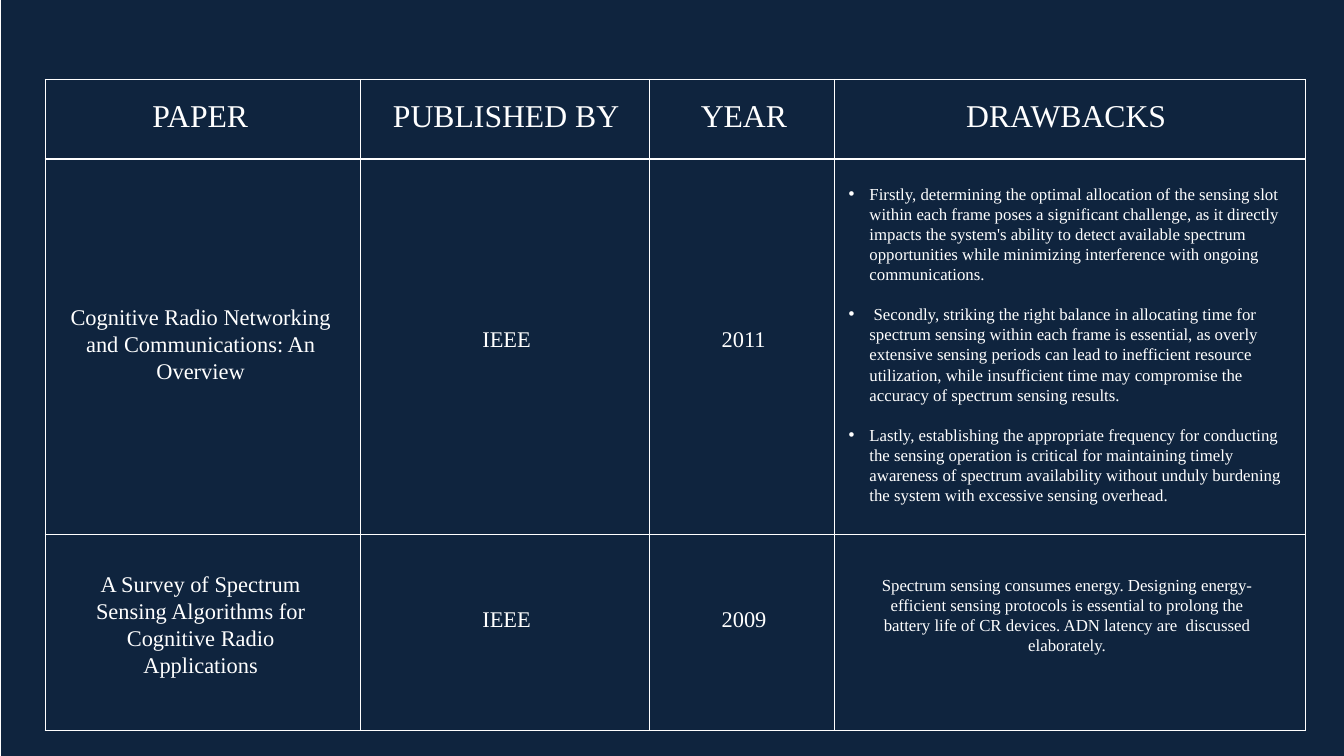
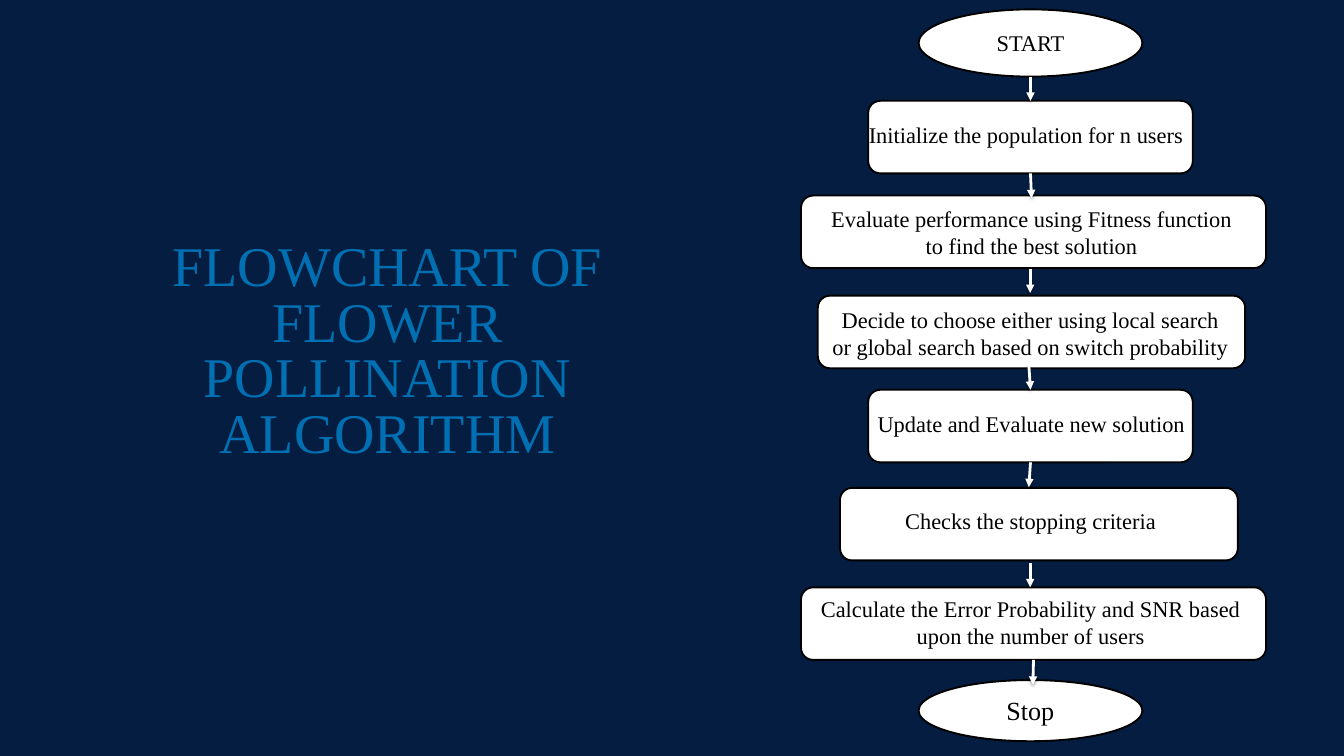
import pptx
import pptx.util
import pptx.dml.color
import pptx.enum.dml
import pptx.enum.shapes
import pptx.enum.text
import pptx.oxml
import pptx.oxml.ns
from lxml import etree

Inches = pptx.util.Inches
Pt = pptx.util.Pt
RGBColor = pptx.dml.color.RGBColor
Align = pptx.enum.text.PP_ALIGN
Shape = pptx.enum.shapes.MSO_SHAPE
qn = pptx.oxml.ns.qn

FONT = "Times New Roman"
WHITE = RGBColor(0xFF, 0xFF, 0xFF)
BLACK = RGBColor(0, 0, 0)
PANEL_NAVY = RGBColor(0x0F, 0x24, 0x3E)
PAGE_NAVY = RGBColor(0x05, 0x1D, 0x40)
TITLE_BLUE = RGBColor(0x00, 0x70, 0xB3)

PAGE_WIDTH, PAGE_HEIGHT = 20, 11.25

# Table geometry and contents
COLUMNS = [4.69, 4.31, 2.75, 7]
ROWS = [1.19, 5.58, 2.92]
# Per cell: offset within the cell, width, height, wrapped, text
CELLS = [
    [(1.5, 0.2, 1.64, 0.67, False, "PAPER"),
     (0.39, 0.2, 3.6, 0.67, False, "PUBLISHED BY"),
     (0.66, 0.2, 1.5, 0.67, False, "YEAR"),
     (1.86, 0.2, 3.21, 0.67, False, "DRAWBACKS")],
    [(0.19, 2.09, 4.25, 1.72, True, "Cognitive Radio Networking and Communications: An Overview"),
     (1.72, 2.42, 0.93, 0.5, False, "IEEE"),
     (0.97, 2.42, 0.88, 0.5, False, "2011"),
     (0.11, 0.31, 6.92, 4.95, True,
      "Firstly, determining the optimal allocation of the sensing slot within each frame "
      "poses a significant challenge, as it directly impacts the system's ability to detect "
      "available spectrum opportunities while minimizing interference with ongoing "
      "communications.\n"
      " Secondly, striking the right balance in allocating time for spectrum sensing within "
      "each frame is essential, as overly extensive sensing periods can lead to inefficient "
      "resource utilization, while insufficient time may compromise the accuracy of spectrum "
      "sensing results.\n"
      "Lastly, establishing the appropriate frequency for conducting the sensing operation is "
      "critical for maintaining timely awareness of spectrum availability without unduly "
      "burdening the system with excessive sensing overhead.")],
    [(0.48, 0.49, 3.67, 2.02, True,
      "A Survey of Spectrum Sensing Algorithms for Cognitive Radio Applications"),
     (1.72, 1, 0.93, 0.5, False, "IEEE"),
     (0.97, 1, 0.92, 0.5, False, "2009"),
     (0.58, 0.55, 5.76, 1.92, True,
      "Spectrum sensing consumes energy. Designing energy-efficient sensing protocols is "
      "essential to prolong the battery life of CR devices. ADN latency are  discussed "
      "elaborately.")],
]

# Flowchart nodes: preset shape, left, top, width, height
NODES = [
    (Shape.OVAL, 2.17, 0.14, 3.33, 1),
    (Shape.ROUNDED_RECTANGLE, 1.42, 1.5, 4.83, 1.08),
    (Shape.ROUNDED_RECTANGLE, 0.42, 2.91, 6.92, 1.08),
    (Shape.ROUNDED_RECTANGLE, 0.67, 4.4, 6.36, 1.08),
    (Shape.ROUNDED_RECTANGLE, 1.42, 5.8, 4.83, 1.08),
    (Shape.ROUNDED_RECTANGLE, 1, 7.26, 5.92, 1.08),
    (Shape.ROUNDED_RECTANGLE, 0.42, 8.74, 6.92, 1.08),
    (Shape.OVAL, 2.17, 10.12, 3.33, 0.91),
]
# Labels over the nodes: left, top, width, height, wrapped, alignment, size, text
LABELS = [
    (1.33, 1.76, 5.08, 0.5, True, Align.LEFT, 24, "Initialize the population for n users"),
    (0.67, 3, 6.36, 1.21, True, Align.CENTER, 24,
     "Evaluate performance using Fitness function to find the best solution"),
    (0.76, 4.51, 6.14, 1.21, True, Align.CENTER, 24,
     "Decide to choose either using local search or global search based on switch probability"),
    (1.46, 6.05, 4.81, 0.81, False, Align.LEFT, 24, "Update and Evaluate new solution"),
    (0.06, 7.49, 7.55, 0.5, True, Align.CENTER, 24, "Checks the stopping criteria"),
    (0.5, 8.81, 6.67, 1.72, True, Align.CENTER, 24,
     "Calculate the Error Probability and SNR based upon the number of users"),
    (3.37, 10.28, 0.92, 0.57, False, Align.CENTER, 28, "Stop"),
]
# Arrows between successive nodes: x, top, joined at its start, joined at its end
ARROWS = [
    (3.83, 1.14, True, True), (3.85, 2.59, True, False), (3.83, 4, False, False),
    (3.81, 5.43, False, True), (3.81, 6.89, True, False), (3.83, 8.38, False, False),
    (3.87, 9.83, True, False),
]
ARROW_LENGTH = 0.36


def format_text(frame, size, color, align=None):
    for para in frame.paragraphs:
        para.alignment = align
        for span in para.runs:
            span.font.name = FONT
            span.font.size = Pt(size)
            span.font.color.rgb = color


def add_text(page, left, top, width, height, text, size, color, align=None, wrap=True):
    box = page.shapes.add_textbox(Inches(left), Inches(top), Inches(width), Inches(height))
    frame = box.text_frame
    frame.word_wrap = wrap
    frame.auto_size = pptx.enum.text.MSO_AUTO_SIZE.SHAPE_TO_FIT_TEXT
    frame.text = text
    format_text(frame, size, color, align)
    return frame


def set_bullets(frame):
    for index, para in enumerate(frame.paragraphs):
        properties = para._p.get_or_add_pPr()
        properties.set("marL", str(Inches(0.31)))
        properties.set("indent", str(-Inches(0.31)))
        etree.SubElement(properties, qn("a:buFont")).set("typeface", "Arial")
        etree.SubElement(properties, qn("a:buChar")).set("char", "•")
        if index:
            para.space_before = Pt(21)


def set_borders(cell, top=1, bottom=1):
    properties = cell._tc.get_or_add_tcPr()
    for side, width in (("L", 1), ("R", 1), ("T", top), ("B", bottom)):
        line = etree.SubElement(properties, qn("a:ln" + side), w=str(Pt(width)))
        fill = etree.SubElement(line, qn("a:solidFill"))
        etree.SubElement(fill, qn("a:srgbClr"), val=str(WHITE))


def add_grid(page, left, top, columns, rows):
    frame = page.shapes.add_table(len(rows), len(columns), Inches(left), Inches(top),
                                  Inches(sum(columns)), Inches(sum(rows)))
    table = frame.table
    table.first_row = table.horz_banding = False
    for column, width in zip(table.columns, columns):
        column.width = Inches(width)
    for row, height in zip(table.rows, rows):
        row.height = Inches(height)
    return table


def add_backdrop(page, left, top, width, height):
    cell = add_grid(page, left, top, [width], [height]).cell(0, 0)
    set_borders(cell, bottom=3)
    cell.fill.solid()
    cell.fill.fore_color.rgb = PANEL_NAVY


def add_paper_table(page, left, top):
    table = add_grid(page, left, top, COLUMNS, ROWS)
    for row, entries in enumerate(CELLS):
        for column, (dx, dy, width, height, wrap, text) in enumerate(entries):
            cell = table.cell(row, column)
            set_borders(cell, top=3 if row == 1 else 1, bottom=3 if row == 0 else 1)
            cell.fill.background()
            # Heading row is largest, drawbacks are smallest
            size = 34 if row == 0 else 18 if column == 3 else 24
            listed = "\n" in text
            frame = add_text(page, left + sum(COLUMNS[:column]) + dx,
                             top + sum(ROWS[:row]) + dy, width, height, text, size, WHITE,
                             Align.CENTER if wrap and not listed else Align.LEFT, wrap)
            if listed:
                set_bullets(frame)


def add_title(page, left, top, width, height):
    frame = add_text(page, left, top, width, height,
                     "FLOWCHART OF FLOWER POLLINATION ALGORITHM", 60, TITLE_BLUE, Align.CENTER)
    frame.margin_left = frame.margin_right = frame.margin_top = frame.margin_bottom = 0
    frame.paragraphs[0].line_spacing = Pt(59.5)


def add_node(page, kind, left, top, width, height):
    node = page.shapes.add_shape(kind, Inches(left), Inches(top), Inches(width), Inches(height))
    node.shadow.inherit = False
    node.fill.solid()
    node.fill.fore_color.rgb = WHITE
    node.line.color.rgb = BLACK
    node.line.width = Pt(2)
    return node


def add_arrow(page, x, top):
    arrow = page.shapes.add_connector(pptx.enum.shapes.MSO_CONNECTOR.STRAIGHT, Inches(x),
                                      Inches(top), Inches(x), Inches(top + ARROW_LENGTH))
    arrow.line.color.rgb = WHITE
    arrow.line.width = Pt(3)
    etree.SubElement(arrow.line._get_or_add_ln(), qn("a:tailEnd"), type="triangle")
    # Soft shadow straight below
    effects = etree.SubElement(arrow._element.spPr, qn("a:effectLst"))
    shadow = etree.SubElement(effects, qn("a:outerShdw"), blurRad=str(Pt(3.1)),
                              dist=str(Pt(1.8)), dir="5400000", rotWithShape="0")
    color = etree.SubElement(shadow, qn("a:srgbClr"), val=str(BLACK))
    etree.SubElement(color, qn("a:alpha"), val="35000")
    return arrow


def add_flowchart(page, left, top):
    nodes = [add_node(page, kind, left + dx, top + dy, width, height)
             for kind, dx, dy, width, height in NODES]
    nodes[0].text_frame.text = "START"
    format_text(nodes[0].text_frame, 24, BLACK, Align.CENTER)
    for dx, dy, width, height, wrap, align, size, text in LABELS:
        add_text(page, left + dx, top + dy, width, height, text, size, BLACK, align, wrap)
    for (dx, dy, join_start, join_end), above, below in zip(ARROWS, nodes, nodes[1:]):
        arrow = add_arrow(page, left + dx, top + dy)
        if join_start:
            arrow.begin_connect(above, 2)
        if join_end:
            arrow.end_connect(below, 0)


def add_page(deck, color):
    page = deck.slides.add_slide(deck.slide_layouts[6])
    page.background.fill.solid()
    page.background.fill.fore_color.rgb = color
    return page


def main():
    deck = pptx.Presentation()
    deck.slide_width = Inches(PAGE_WIDTH)
    deck.slide_height = Inches(PAGE_HEIGHT)

    # Literature survey
    page = add_page(deck, WHITE)
    add_backdrop(page, 0, -0.41, PAGE_WIDTH, 11.87)
    add_paper_table(page, 0.67, 1.18)

    # Algorithm flowchart
    page = add_page(deck, PAGE_NAVY)
    add_title(page, 2.28, 3.61, 6.97, 3.4)
    add_flowchart(page, 11.5, 0)

    deck.save("out.pptx")


if __name__ == "__main__":
    main()
